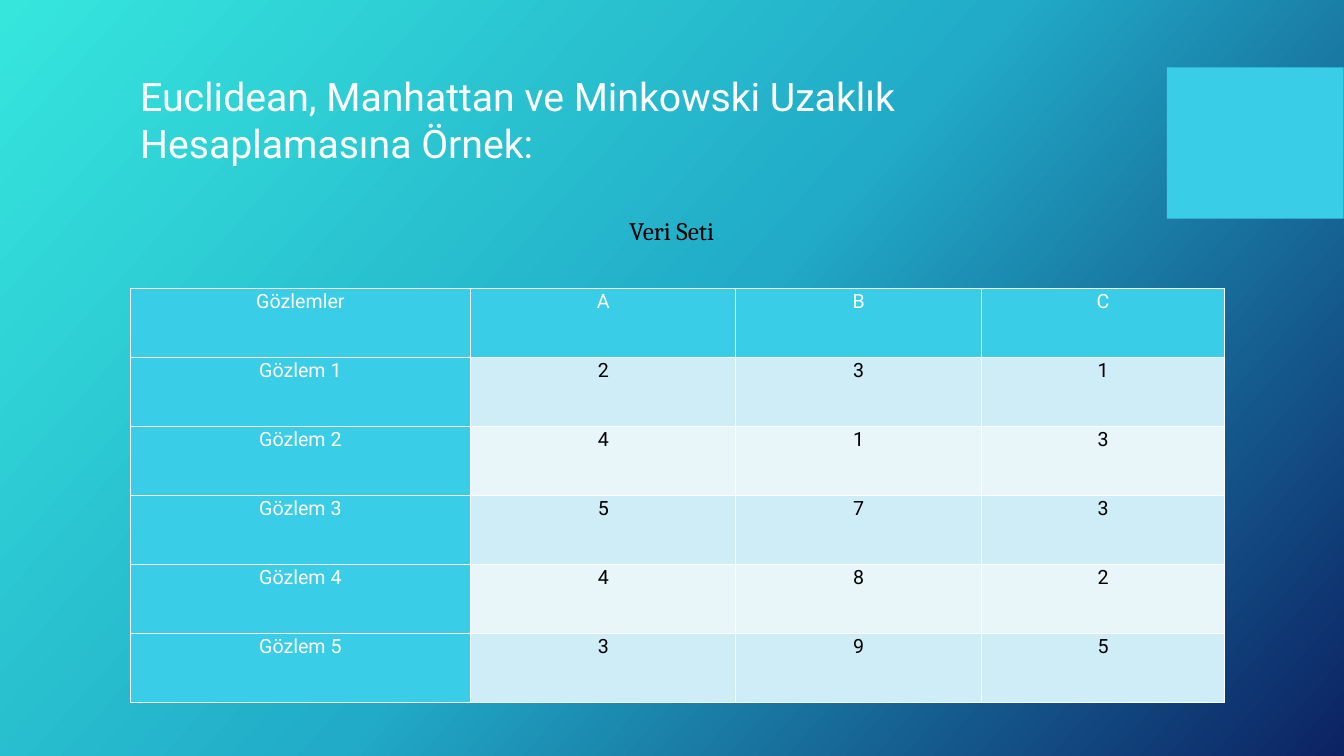
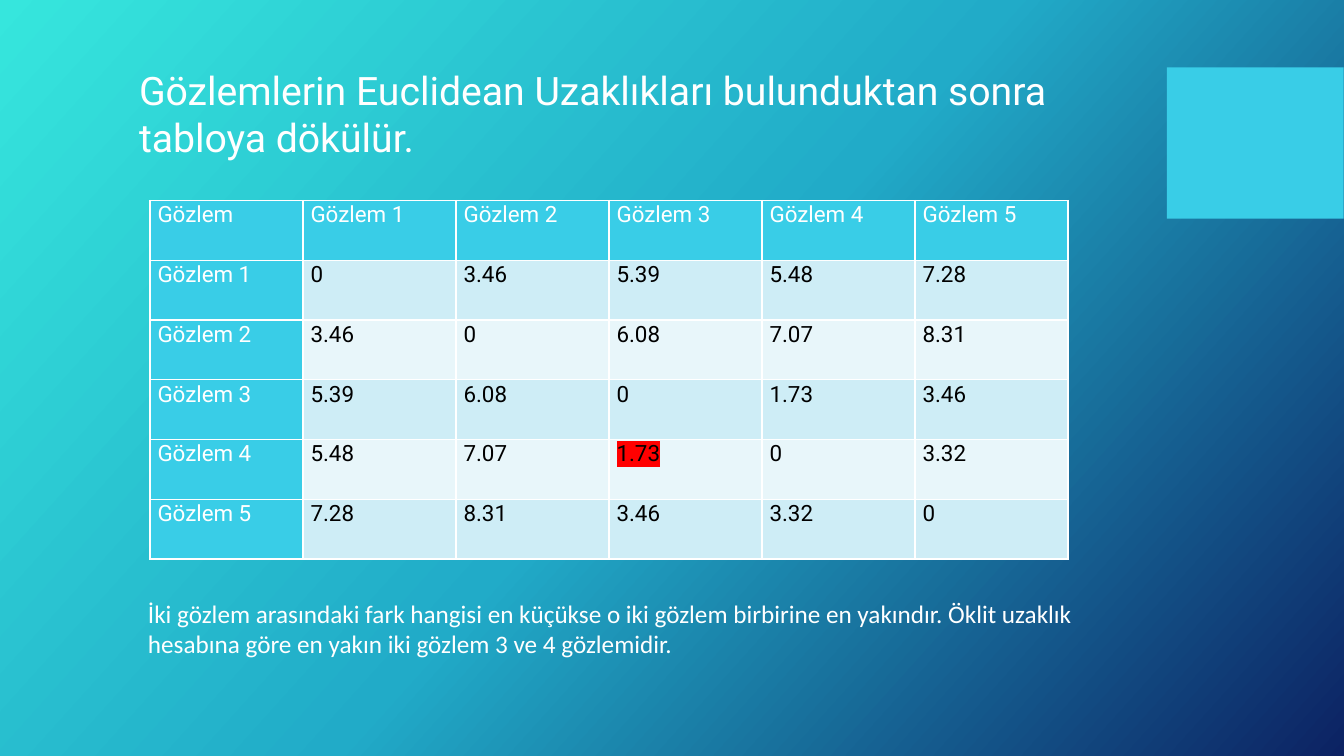
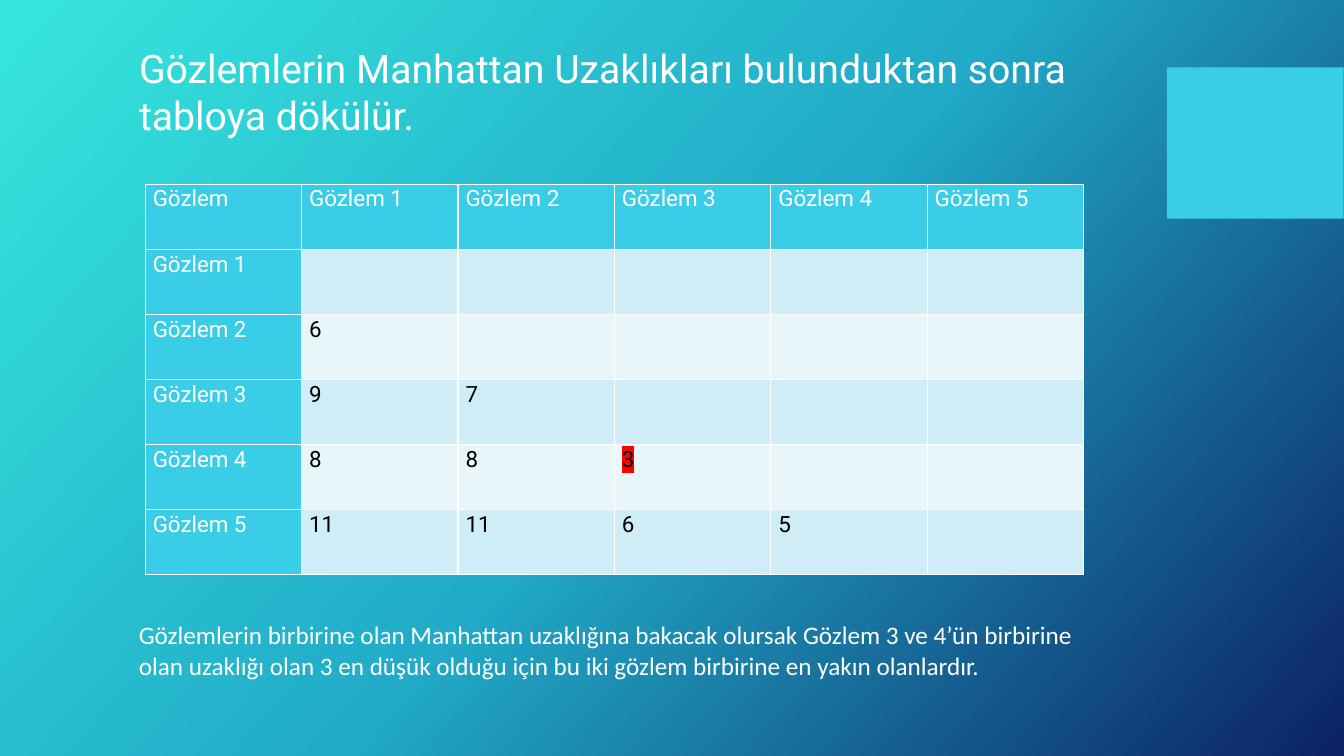
from copy import deepcopy

from lxml.etree import SubElement
from pptx import Presentation
from pptx.dml.color import RGBColor
from pptx.enum.shapes import MSO_SHAPE
from pptx.enum.text import MSO_ANCHOR, MSO_AUTO_SIZE, PP_ALIGN
from pptx.oxml.ns import qn
from pptx.util import Cm, Pt

COLORS = {
    "mint": "36E6DD",
    "teal": "21ABC8",
    "navy": "0C2263",
    "accent": "39CDE7",
    "band_dark": "CEEDF6",
    "band_light": "E8F6FA",
    "white": "FFFFFF",
    "black": "000000",
    "mark": "FF0000",
}
TITLE_FONT = {"name": "Roboto", "size": Pt(28)}
NOTE_FONT = {"name": "Calibri", "size": Pt(18)}
CAPTION_FONT = {"name": "Cambria", "size": Pt(18)}
CELL_MARGINS = {
    "margin_left": Cm(0.19),
    "margin_right": Cm(0.19),
    "margin_top": 0,
    "margin_bottom": 0,
}
CELL_PARAGRAPH = {"line_spacing": 1.07, "space_after": Pt(8)}
TITLE_ONLY = 5
OBSERVATIONS = [f"Gözlem {number}" for number in range(1, 6)]


def rgb(name):
    return RGBColor.from_string(COLORS[name])


def apply_values(target, values):
    for name, value in values.items():
        setattr(target, name, value)


def place(shape, box):
    apply_values(shape, dict(zip(("left", "top", "width", "height"), map(Cm, box))))


def write_text(paragraph, text, font, color, align=PP_ALIGN.LEFT):
    paragraph.alignment = align
    run = paragraph.add_run()
    run.text = text
    apply_values(run.font, font)
    run.font.color.rgb = rgb(color)
    return run


def style_master(presentation):
    master = presentation.slide_master
    fill = master.background.fill
    fill.gradient()
    fill.gradient_angle = 318
    first_stop = master.element.find(".//" + qn("a:gs"))
    first_stop.addnext(deepcopy(first_stop))
    stops = zip(fill.gradient_stops, (0, 0.5, 1), ("mint", "teal", "navy"))
    for stop, position, color in stops:
        stop.position = position
        stop.color.rgb = rgb(color)


def move_to_master(presentation, shape):
    shape.element.nvSpPr.cNvPr.set("id", "20")
    presentation.slide_master.shapes.element.insert(2, shape.element)


def add_side_block(presentation, slide, box):
    block = slide.shapes.add_shape(MSO_SHAPE.RECTANGLE, *map(Cm, box))
    block.shadow.inherit = False
    block.fill.solid()
    block.fill.fore_color.rgb = rgb("accent")
    block.line.fill.background()
    move_to_master(presentation, block)


def add_titled_slide(presentation, text, box):
    slide = presentation.slides.add_slide(presentation.slide_layouts[TITLE_ONLY])
    title = slide.shapes.title
    place(title, box)
    frame = title.text_frame
    apply_values(frame, {
        "word_wrap": True,
        "vertical_anchor": MSO_ANCHOR.TOP,
        "auto_size": MSO_AUTO_SIZE.NONE,
    })
    write_text(frame.paragraphs[0], text, TITLE_FONT, "white")
    return slide


def add_note(slide, text, box, font=NOTE_FONT, color="white", align=PP_ALIGN.LEFT):
    frame = slide.shapes.add_textbox(*map(Cm, box)).text_frame
    frame.word_wrap = True
    write_text(frame.paragraphs[0], text, font, color, align)


def add_borders(cell):
    properties = cell._tc.get_or_add_tcPr()
    for side in ("a:lnL", "a:lnR", "a:lnT", "a:lnB"):
        line = SubElement(properties, qn(side), w=str(Pt(1)))
        solid = SubElement(line, qn("a:solidFill"))
        SubElement(solid, qn("a:srgbClr"), val=COLORS["white"])


def highlight(run):
    text_fill = run._r.get_or_add_rPr().find(qn("a:solidFill"))
    mark = text_fill.makeelement(qn("a:highlight"))
    SubElement(mark, qn("a:srgbClr"), val=COLORS["mark"])
    text_fill.addnext(mark)


def cell_color(row, column):
    if row == 0 or column == 0:
        return "accent"
    return "band_dark" if row % 2 else "band_light"


def add_data_table(slide, box, headers, values, size, align=PP_ALIGN.LEFT,
                   weights=None, marked=None):
    rows = [headers] + [[name, *line] for name, line in zip(OBSERVATIONS, values)]
    weights = weights or [1] * len(headers)
    table = slide.shapes.add_table(len(rows), len(headers), *map(Cm, box)).table
    table.first_row = table.horz_banding = False
    for column, weight in zip(table.columns, weights):
        column.width = Cm(box[2] * weight / sum(weights))
    for row_index, texts in enumerate(rows):
        table.rows[row_index].height = Cm(box[3] / len(rows))
        for column_index, text in enumerate(texts):
            cell = table.cell(row_index, column_index)
            fill = cell_color(row_index, column_index)
            apply_values(cell, CELL_MARGINS)
            add_borders(cell)
            cell.fill.solid()
            cell.fill.fore_color.rgb = rgb(fill)
            if not text:
                continue
            paragraph = cell.text_frame.paragraphs[0]
            apply_values(paragraph, CELL_PARAGRAPH)
            run = write_text(paragraph, text, {"name": "Roboto", "size": Pt(size)},
                             "white" if fill == "accent" else "black", align)
            if (row_index, column_index) == marked:
                highlight(run)


def add_data_set_slide(presentation):
    slide = add_titled_slide(
        presentation,
        "Euclidean, Manhattan ve Minkowski Uzaklık Hesaplamasına Örnek:",
        (3.28, 1.7, 24.74, 2.64))
    add_side_block(presentation, slide, (29.41, 1.7, 4.45, 3.81))
    add_note(slide, "Veri Seti", (8.46, 5.31, 16.94, 1.02),
             CAPTION_FONT, "black", PP_ALIGN.CENTER)
    add_data_table(slide, (3.28, 7.27, 27.58, 10.44), ["Gözlemler", "A", "B", "C"],
                   ["231", "413", "573", "482", "395"], 14, PP_ALIGN.CENTER,
                   weights=(3.38, 2.63, 2.44, 2.41))


def add_distance_slide(presentation, title, title_box, values, table_box, note, note_box):
    slide = add_titled_slide(presentation, title, title_box)
    add_data_table(slide, table_box, ["Gözlem"] + OBSERVATIONS, values, 16,
                   marked=(4, 3))
    add_note(slide, note, note_box)


def main():
    presentation = Presentation()
    presentation.slide_width = Cm(33.87)
    presentation.slide_height = Cm(19.05)
    style_master(presentation)
    add_data_set_slide(presentation)
    add_distance_slide(
        presentation,
        "Gözlemlerin Euclidean Uzaklıkları bulunduktan sonra tabloya dökülür.",
        (3.25, 1.55, 24.79, 2.64),
        [
            ["0", "3.46", "5.39", "5.48", "7.28"],
            ["3.46", "0", "6.08", "7.07", "8.31"],
            ["5.39", "6.08", "0", "1.73", "3.46"],
            ["5.48", "7.07", "1.73", "0", "3.32"],
            ["7.28", "8.31", "3.46", "3.32", "0"],
        ],
        (3.78, 5.05, 23.14, 9.04),
        "İki gözlem arasındaki fark hangisi en küçükse o iki gözlem birbirine en "
        "yakındır. Öklit uzaklık hesabına göre en yakın iki gözlem 3 ve 4 gözlemidir.",
        (3.48, 14.94, 25.12, 1.8))
    add_distance_slide(
        presentation,
        "Gözlemlerin Manhattan Uzaklıkları bulunduktan sonra tabloya dökülür.",
        (3.25, 0.99, 25.12, 2.64),
        [
            [""] * 5,
            ["6", "", "", "", ""],
            ["9", "7", "", "", ""],
            ["8", "8", "3", "", ""],
            ["11", "11", "6", "5", ""],
        ],
        (3.66, 4.65, 23.65, 9.83),
        "Gözlemlerin birbirine olan Manhattan uzaklığına bakacak olursak Gözlem 3 ve "
        "4’ün birbirine olan uzaklığı olan 3 en düşük olduğu için bu iki gözlem "
        "birbirine en yakın olanlardır.",
        (3.25, 15.49, 24.46, 1.8))
    presentation.save("out.pptx")


if __name__ == "__main__":
    main()
